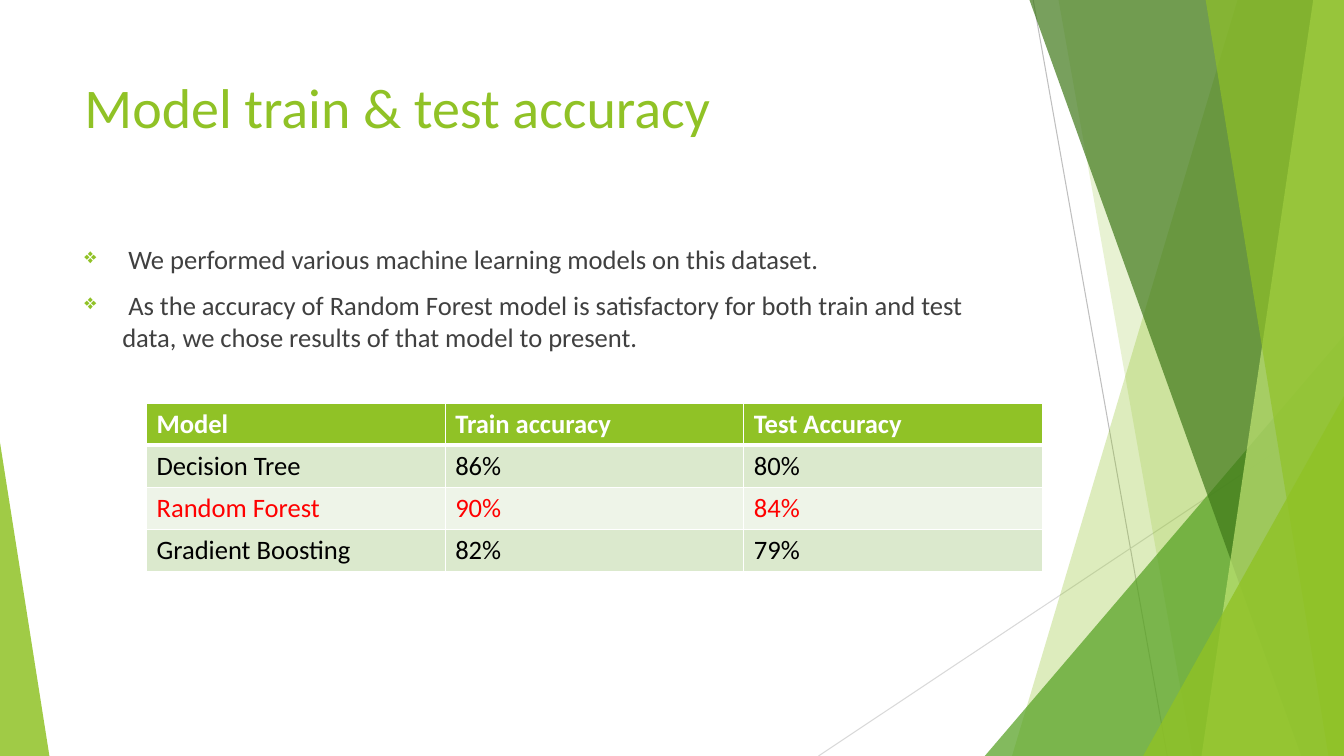
from lxml import etree
from pptx import Presentation
from pptx.dml.color import RGBColor
from pptx.enum import shapes, text
from pptx.oxml import ns
from pptx.util import Pt

FONT = "Calibri"
COLORS = {
    "lime": "90C226", "green": "54A021", "forest": "3F7819", "pale": "C0E474",
    "body": "404040", "black": "000000", "red": "FF0000", "white": "FFFFFF",
    "band": "DBE9CD", "light band": "EEF4E8",
    "grey": "BFBFBF", "light grey": "D9D9D9",
}
WIDTH, HEIGHT = 960, 540
BLEED = -0.72
# Right-hand facets, back to front: kind, edge positions, colour, opacity
FACETS = [
    ("shard", 884.16, 722.88, "lime", 30),
    ("shard", 756, 851.76, "lime", 20),
    ("corner", 239.76, 703.44, "green", 72),
    ("shard", 735.12, 929.52, "forest", 70),
    ("shard", 938.16, 858.24, "pale", 70),
    ("shard", 861.12, 948.96, "lime", 65),
    ("corner", 282.96, 816.48, "lime", 80),
]
BULLETS = [
    " We performed various machine learning models on this dataset.",
    " As the accuracy of Random Forest model is satisfactory for both train "
    "and test data, we chose results of that model to present.",
]
ACCURACY = [
    ("Model", "Train accuracy", "Test Accuracy"),
    ("Decision Tree", "86%", "80%"),
    ("Random Forest", "90%", "84%"),
    ("Gradient Boosting", "82%", "79%"),
]
# Fill and text colour of each table row
ROW_COLORS = [("lime", "white"), ("band", "black"),
              ("light band", "red"), ("band", "black")]


def rgb(name):
    return RGBColor.from_string(COLORS[name])


def add_xml(parent, tag, **attributes):
    return etree.SubElement(parent, ns.qn(tag), attributes)


def style_font(font, size, color, bold=False):
    font.name, font.size, font.bold = FONT, Pt(size), bold
    font.color.rgb = rgb(color)


def paint(facet, color, opacity):
    """Fill a facet with a see-through colour and remove its outline."""
    facet.shadow.inherit = False
    facet.line.fill.background()
    facet.fill.solid()
    facet.fill.fore_color.rgb = rgb(color)
    fill_color = next(facet._element.spPr.iter(ns.qn("a:srgbClr")))
    add_xml(fill_color, "a:alpha", val=str(opacity * 1000))


def add_ray(slide, start, end, color):
    ray = slide.shapes.add_connector(
        shapes.MSO_CONNECTOR.STRAIGHT, *(Pt(v) for v in start + end))
    ray.line.color.rgb = rgb(color)
    ray.line.width = Pt(0.75)
    add_xml(ray._element.spPr, "a:effectLst")


def add_shard(slide, top_x, bottom_x):
    """Full-height facet between a slanted edge and the right slide edge."""
    builder = slide.shapes.build_freeform(Pt(top_x), Pt(BLEED))
    builder.add_line_segments([(Pt(WIDTH), Pt(BLEED)), (Pt(WIDTH), Pt(HEIGHT)),
                               (Pt(bottom_x), Pt(HEIGHT))], close=True)
    return builder.convert_to_shape()


def add_corner(slide, top, left, right, apex):
    """Triangle that stands on the bottom slide edge."""
    corner = slide.shapes.add_shape(
        shapes.MSO_SHAPE.ISOSCELES_TRIANGLE,
        Pt(left), Pt(top), Pt(right - left), Pt(HEIGHT - top))
    corner.adjustments[0] = apex
    return corner


def add_backdrop(slide):
    add_ray(slide, (738, 0), (833.76, HEIGHT), "grey")
    add_ray(slide, (WIDTH, 290.16), (584.64, HEIGHT), "light grey")
    for kind, first, second, color, opacity in FACETS:
        if kind == "shard":
            facet = add_shard(slide, first, second)
        else:
            facet = add_corner(slide, first, second, WIDTH, apex=1)
        paint(facet, color, opacity)
    paint(add_corner(slide, 316.08, 0, 35.28, apex=0), "lime", 85)


def add_frame(slide, box):
    frame = slide.shapes.add_textbox(*(Pt(v) for v in box)).text_frame
    frame.word_wrap = True
    frame.vertical_anchor = text.MSO_ANCHOR.TOP
    return frame


def add_title(slide, box):
    title = add_frame(slide, box)
    title.text = "Model train & test accuracy"
    style_font(title.paragraphs[0].runs[0].font, 40, "lime")


def add_bullets(slide, box):
    body = add_frame(slide, box)
    body.text = "\n".join(BULLETS)
    for index, point in enumerate(body.paragraphs):
        props = point._p.get_or_add_pPr()
        props.set("marL", str(Pt(27)))
        props.set("indent", str(-Pt(27)))
        point.space_before = Pt(10 if index else 0)
        bullet_color = add_xml(props, "a:buClr")
        add_xml(bullet_color, "a:srgbClr", val=COLORS["lime"])
        add_xml(props, "a:buSzPct", val="80000")
        add_xml(props, "a:buChar", char="❖")
        style_font(point.runs[0].font, 19, "body")


def add_borders(cell, top, bottom):
    """Draw white cell borders; top and bottom are widths in points."""
    props = cell._tc.get_or_add_tcPr()
    widths = {"a:lnL": 1, "a:lnR": 1, "a:lnT": top, "a:lnB": bottom}
    for side, width in widths.items():
        border = add_xml(props, side, w=str(Pt(width)))
        add_xml(add_xml(border, "a:solidFill"), "a:srgbClr", val=COLORS["white"])


def add_accuracy_table(slide, box):
    table = slide.shapes.add_table(
        len(ACCURACY), len(ACCURACY[0]), *(Pt(v) for v in box)).table
    for r, (values, (fill, color)) in enumerate(zip(ACCURACY, ROW_COLORS)):
        for c, value in enumerate(values):
            cell = table.cell(r, c)
            add_borders(cell, top=3 if r == 1 else 1, bottom=3 if r == 0 else 1)
            cell.fill.solid()
            cell.fill.fore_color.rgb = rgb(fill)
            cell.text = value
            style_font(cell.text_frame.paragraphs[0].runs[0].font,
                       19, color, bold=r == 0)


def main():
    deck = Presentation()
    deck.slide_width, deck.slide_height = Pt(WIDTH), Pt(HEIGHT)
    slide = deck.slides.add_slide(deck.slide_layouts[6])
    add_backdrop(slide)
    add_title(slide, (53.28, 48.24, 676.8, 103.68))
    add_bullets(slide, (53.28, 169.92, 676.8, 305.28))
    add_accuracy_table(slide, (104.7, 288, 639.9, 120))
    deck.save("out.pptx")


if __name__ == "__main__":
    main()
